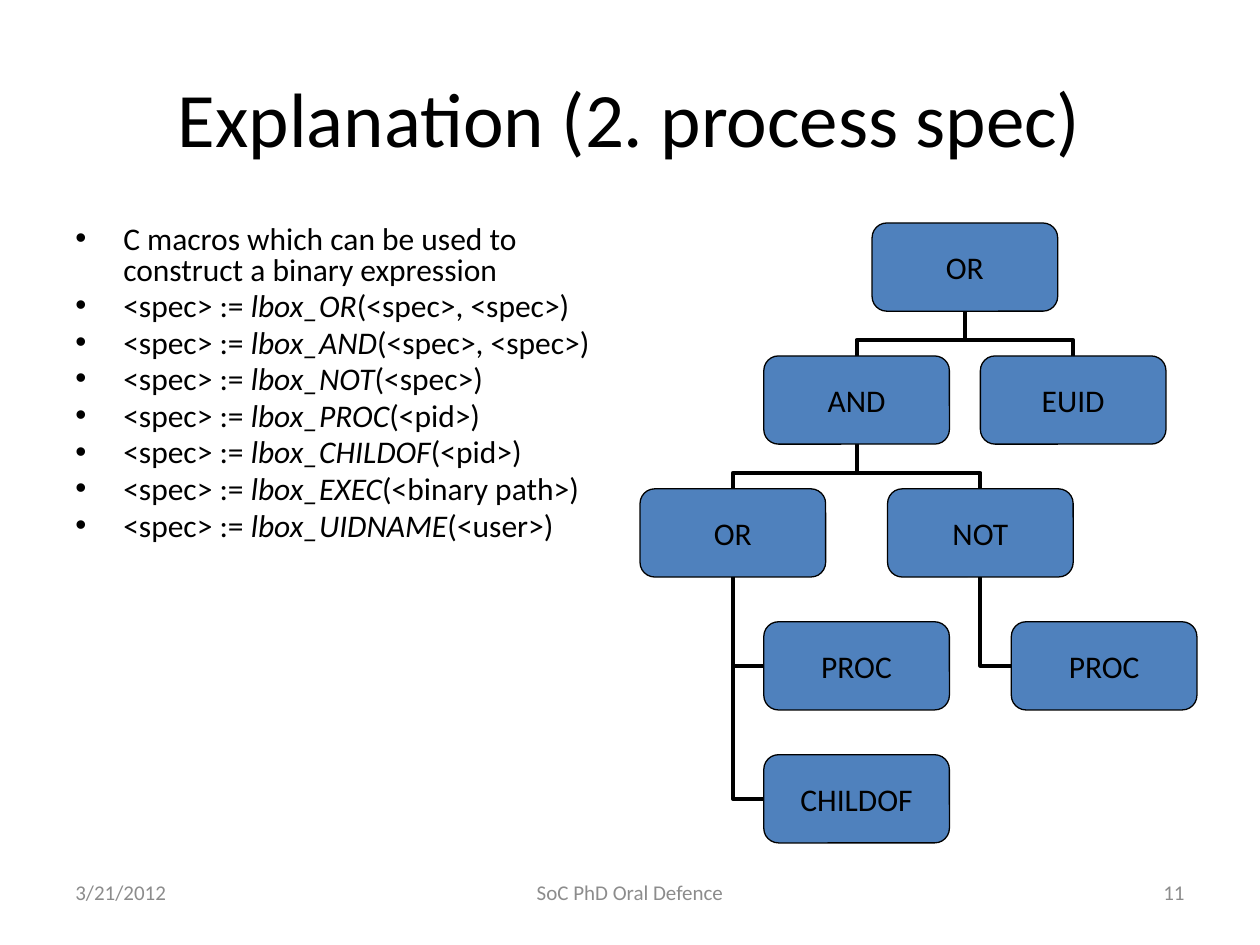
import pptx
import pptx.util
import pptx.dml.color
import pptx.enum.shapes
import pptx.enum.text
import pptx.oxml
import pptx.oxml.ns
from pptx.util import Inches

COLORS = {"text": "000000", "node": "4F81BD", "line": "000000", "footer": "8C8C8C"}
FONT = "Calibri"
ALIGN = pptx.enum.text.PP_ALIGN
MIDDLE = pptx.enum.text.MSO_ANCHOR.MIDDLE
SHAPES = pptx.enum.shapes.MSO_SHAPE
ELBOW = pptx.enum.shapes.MSO_CONNECTOR.ELBOW

MACROS = [
    ("lbox_OR", "(<spec>, <spec>)"),
    ("lbox_AND", "(<spec>, <spec>)"),
    ("lbox_NOT", "(<spec>)"),
    ("lbox_PROC", "(<pid>)"),
    ("lbox_CHILDOF", "(<pid>)"),
    ("lbox_EXEC", "(<binary path>)"),
    ("lbox_UIDNAME", "(<user>)"),
]

# Tree nodes: key -> (label, column, row); a node is 6 of 18 columns wide
NODES = {
    "root": ("OR", 7.5, 0),
    "and": ("AND", 4, 1),
    "euid": ("EUID", 11, 1),
    "or": ("OR", 0, 2),
    "not": ("NOT", 8, 2),
    "or_proc": ("PROC", 4, 3),
    "or_child": ("CHILDOF", 4, 4),
    "not_proc": ("PROC", 12, 3),
}
HANGING = [("not", "not_proc"), ("or", "or_child"), ("or", "or_proc")]
BRANCHES = [("and", "not"), ("and", "or"), ("root", "euid"), ("root", "and")]
COLUMNS, NODE_COLUMNS, ROWS = 18, 6, 5
NODE_HEIGHT = Inches(0.7)


def rgb(name):
    return pptx.dml.color.RGBColor.from_string(COLORS[name])


def add_text(para, text, size=18, color="text", italic=None, align=None):
    span = para.add_run()
    span.text = text
    span.font.name = FONT
    span.font.size = pptx.util.Pt(size)
    span.font.color.rgb = rgb(color)
    span.font.italic = italic
    if align is not None:
        para.alignment = align


def add_title(page, box):
    title = page.shapes.title
    title.left, title.top, title.width, title.height = box
    title.text_frame.vertical_anchor = MIDDLE
    add_text(title.text_frame.paragraphs[0], "Explanation (2. process spec)",
             size=44, align=ALIGN.CENTER)


def add_bullet(para):
    para.line_spacing = 0.8
    para.space_before = pptx.util.Pt(3.6)
    props = para._p.get_or_add_pPr()
    props.set("marL", str(Inches(0.38)))
    props.set("indent", str(-Inches(0.38)))
    props.append(pptx.oxml.parse_xml(
        f'<a:buFont {pptx.oxml.ns.nsdecls("a")} typeface="Arial"/>'))
    props.append(pptx.oxml.parse_xml(
        f'<a:buChar {pptx.oxml.ns.nsdecls("a")} char="•"/>'))


def add_macro_list(page, box):
    frame = page.shapes.add_textbox(*box).text_frame
    frame.word_wrap = True
    para = frame.paragraphs[0]
    add_bullet(para)
    add_text(para, "C macros which can be used to construct a binary expression")
    for macro, arguments in MACROS:
        para = frame.add_paragraph()
        add_bullet(para)
        add_text(para, "<spec> := ")
        add_text(para, macro, italic=True)
        add_text(para, arguments)


def add_elbow(page, box, turn, preset, flip=False, bend=None):
    left, top, width, height = box
    elbow = page.shapes.add_connector(ELBOW, left, top, left + width, top + height)
    elbow.line.color.rgb = rgb("line")
    elbow.line.width = pptx.util.Pt(2.25)
    props = elbow._element.spPr
    frame = props.find(pptx.oxml.ns.qn("a:xfrm"))
    frame.set("rot", str(turn * 60000))
    if flip:
        frame.set("flipH", "1")
    geometry = props.find(pptx.oxml.ns.qn("a:prstGeom"))
    geometry.set("prst", preset)
    if bend is not None:
        for old in list(geometry):
            geometry.remove(old)
        geometry.append(pptx.oxml.parse_xml(
            f'<a:avLst {pptx.oxml.ns.nsdecls("a")}>'
            f'<a:gd name="adj1" fmla="val {bend}"/></a:avLst>'))
    props.append(pptx.oxml.parse_xml(
        f'<a:effectLst {pptx.oxml.ns.nsdecls("a")}/>'))


def add_node(page, box, label):
    node = page.shapes.add_shape(SHAPES.ROUNDED_RECTANGLE, *box)
    node.shadow.inherit = False
    node.fill.solid()
    node.fill.fore_color.rgb = rgb("node")
    node.line.color.rgb = rgb("line")
    node.line.width = pptx.util.Pt(0.75)
    frame = node.text_frame
    frame.margin_left = frame.margin_right = frame.margin_top = frame.margin_bottom = 0
    frame.word_wrap = False
    frame.vertical_anchor = MIDDLE
    add_text(frame.paragraphs[0], label, align=ALIGN.CENTER)


def add_tree(page, box):
    left, top, width, height = box
    column = width / COLUMNS
    pitch = (height - NODE_HEIGHT) / (ROWS - 1)
    node_width = int(column * NODE_COLUMNS)
    places = {key: (int(left + at * column), int(top + row * pitch))
              for key, (label, at, row) in NODES.items()}

    # Children hanging to the right of their parent's stem
    for parent, child in HANGING:
        stem = places[parent][0] + node_width // 2
        start = places[parent][1] + NODE_HEIGHT
        end = places[child][1] + NODE_HEIGHT // 2
        add_elbow(page, (stem, start, places[child][0] - stem, end - start),
                  180, "bentConnector2")

    # Paired children: each elbow is laid flat, then turned about its centre
    for parent, child in BRANCHES:
        run = places[child][0] - places[parent][0]
        start = places[parent][1] + NODE_HEIGHT
        rise, span = places[child][1] - start, abs(run)
        middle_x = places[parent][0] + (node_width + run) // 2
        middle_y = start + rise // 2
        add_elbow(page, (middle_x - rise // 2, middle_y - span // 2, rise, span),
                  90 if run > 0 else 270, "bentConnector3",
                  flip=run > 0, bend=35600)

    for key, (label, at, row) in NODES.items():
        add_node(page, (*places[key], node_width, NODE_HEIGHT), label)


def add_footer(page, box):
    left, top, width, height = box
    side, center = Inches(2.33), Inches(3.17)
    parts = [
        ("3/21/2012", left, side, ALIGN.LEFT),
        ("11", left + width - side, side, ALIGN.RIGHT),
        ("SoC PhD Oral Defence", left + (width - center) // 2, center, ALIGN.CENTER),
    ]
    for text, start, extent, align in parts:
        frame = page.shapes.add_textbox(start, top, extent, height).text_frame
        frame.word_wrap = True
        frame.vertical_anchor = MIDDLE
        add_text(frame.paragraphs[0], text, size=12, color="footer", align=align)


def main():
    deck = pptx.Presentation()
    deck.slide_width, deck.slide_height = Inches(10), Inches(7.5)
    page = deck.slides.add_slide(deck.slide_layouts.get_by_name("Title Only"))
    add_title(page, (Inches(0.5), Inches(0.3), Inches(9), Inches(1.25)))
    add_macro_list(page, (Inches(0.5), Inches(1.75), Inches(4.42), Inches(4.95)))
    add_tree(page, (Inches(5.08), Inches(1.77), Inches(4.42), Inches(4.92)))
    add_footer(page, (Inches(0.5), Inches(6.83), Inches(9), Inches(0.5)))
    deck.save("out.pptx")


if __name__ == "__main__":
    main()
